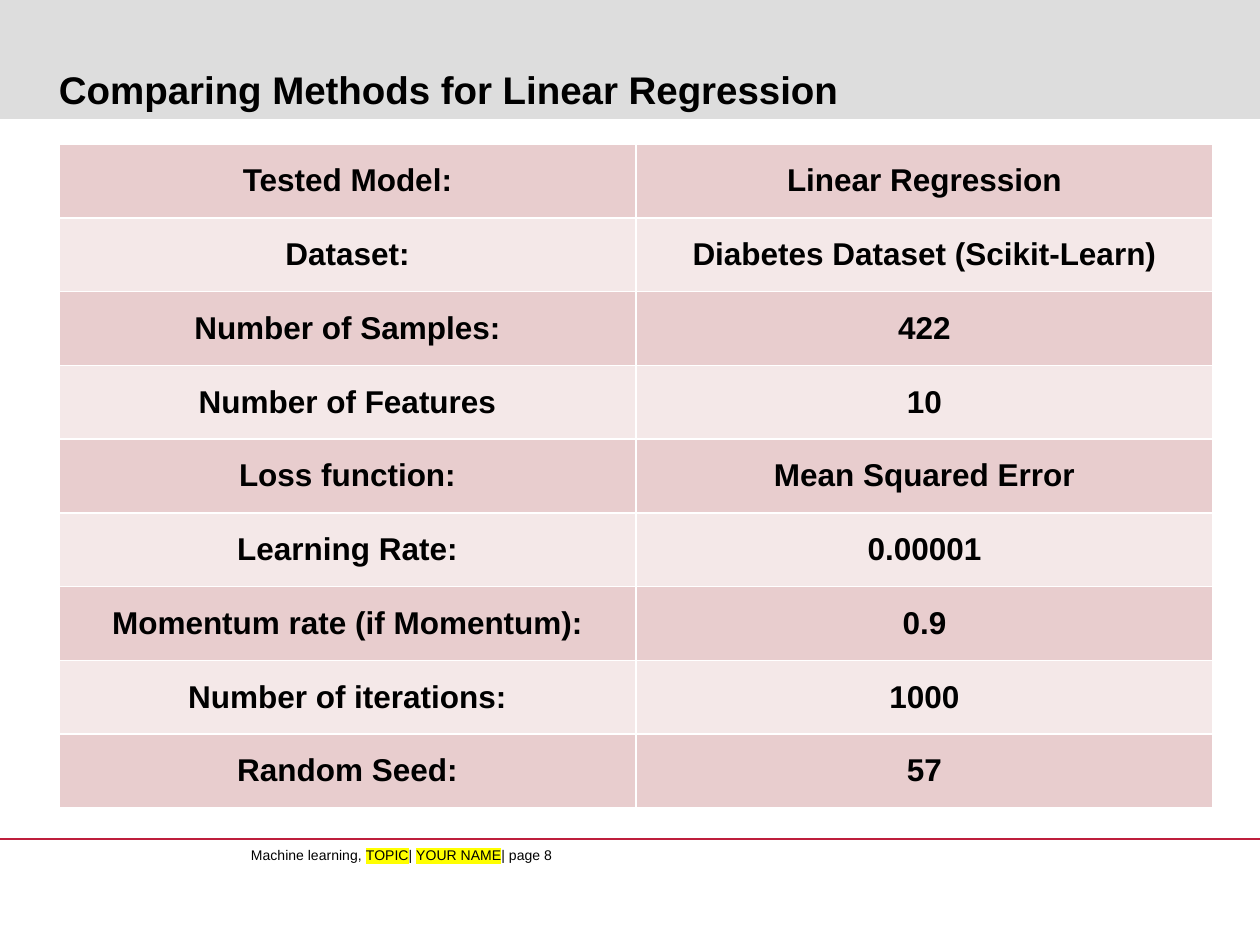
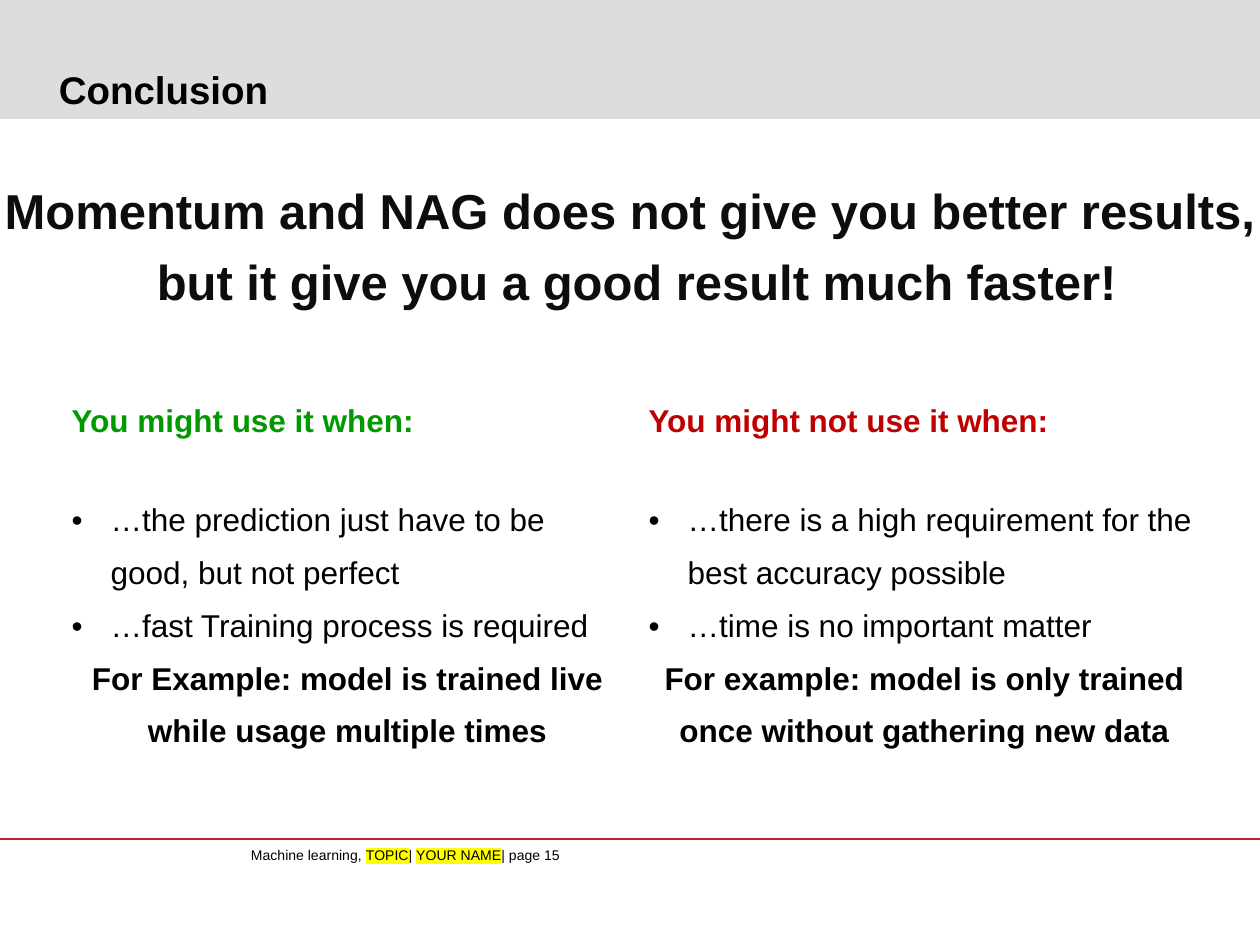
from lxml import etree
from pptx import Presentation
from pptx import util as u
from pptx.dml.color import RGBColor
from pptx.enum import shapes, text
from pptx.oxml import ns

PX = u.Inches(1) // 126
FONT = "Arial"
COLORS = {
    "band": "DDDDDD", "rule": "BE1E3C", "text": "000000", "headline": "0D0D0D",
    "highlight": "FFFF00", "border": "FFFFFF", "row_dark": "E8CDCE",
    "row_light": "F4E8E8", "pro": "009900", "contra": "C00000",
}
LEFT, WIDTH = 59, 1154
CENTER = text.PP_ALIGN.CENTER


def set_text(para, words, size, color="text", bold=False, align=None):
    para.text = words
    para.alignment = align
    para.font.name = FONT
    para.font.size = u.Pt(size)
    para.font.bold = bold
    para.font.color.rgb = RGBColor.from_string(COLORS[color])


def set_cell(cell, fill=None, bottom=1):
    props = cell._tc.get_or_add_tcPr()
    for side, points in (("lnL", 1), ("lnR", 1), ("lnT", 1), ("lnB", bottom)):
        line = etree.SubElement(props, ns.qn(f"a:{side}"), w=str(u.Pt(points)))
        solid = etree.SubElement(line, ns.qn("a:solidFill"))
        etree.SubElement(solid, ns.qn("a:srgbClr"), val=COLORS["border"])
    if fill:
        cell.fill.solid()
        cell.fill.fore_color.rgb = RGBColor.from_string(COLORS[fill])
    else:
        cell.fill.background()


deck = Presentation()
deck.slide_width, deck.slide_height = u.Inches(10), u.Inches(7.5)

pages = []
for title, number in (("Comparing Methods for Linear Regression", 8), ("Conclusion", 15)):
    page = deck.slides.add_slide(deck.slide_layouts[6])
    pages.append(page)

    band = page.shapes.add_shape(shapes.MSO_SHAPE.RECTANGLE, 0, 0, deck.slide_width, 119 * PX)
    band.shadow.inherit = False
    band.fill.solid()
    band.fill.fore_color.rgb = RGBColor.from_string(COLORS["band"])
    band.line.fill.background()

    rule = page.shapes.add_connector(
        shapes.MSO_CONNECTOR.STRAIGHT, 0, 839 * PX, deck.slide_width, 839 * PX)
    rule.line.color.rgb = RGBColor.from_string(COLORS["rule"])
    rule.line.width = u.Pt(0.75)
    etree.SubElement(rule._element.spPr, ns.qn("a:effectLst"))

    footer = page.shapes.add_textbox(251 * PX, 847 * PX, 314 * PX, 34 * PX).text_frame
    footer.margin_left = footer.margin_right = footer.margin_top = footer.margin_bottom = 0
    footer.word_wrap = False
    para = footer.paragraphs[0]
    set_text(para, "", 8)
    for words, marked in (("Machine learning, ", False), ("TOPIC", True), ("| ", False),
                          ("YOUR NAME", True), (f"| page {number}", False)):
        span = para.add_run()
        span.text = words
        if marked:
            highlight = etree.SubElement(span._r.get_or_add_rPr(), ns.qn("a:highlight"))
            etree.SubElement(highlight, ns.qn("a:srgbClr"), val=COLORS["highlight"])

    heading = page.shapes.add_textbox(LEFT * PX, 15 * PX, WIDTH * PX, 97 * PX).text_frame
    heading.margin_left = heading.margin_right = heading.margin_top = heading.margin_bottom = 0
    heading.word_wrap = True
    heading.vertical_anchor = text.MSO_ANCHOR.BOTTOM
    set_text(heading.paragraphs[0], title, 22, bold=True)

methods_page, conclusion_page = pages

settings = [
    ("Tested Model:", "Linear Regression"),
    ("Dataset:", "Diabetes Dataset (Scikit-Learn)"),
    ("Number of Samples:", "422"),
    ("Number of Features", "10"),
    ("Loss function:", "Mean Squared Error"),
    ("Learning Rate:", "0.00001"),
    ("Momentum rate (if Momentum):", "0.9"),
    ("Number of iterations:", "1000"),
    ("Random Seed:", "57"),
]
table = methods_page.shapes.add_table(
    len(settings), 2, LEFT * PX, 144 * PX, WIDTH * PX, 664 * PX).table
table.first_row = table.horz_banding = False
for row, setting in enumerate(settings):
    for column, words in enumerate(setting):
        cell = table.cell(row, column)
        set_cell(cell, "row_light" if row % 2 else "row_dark")
        cell.vertical_anchor = text.MSO_ANCHOR.MIDDLE
        set_text(cell.text_frame.paragraphs[0], words, 18, bold=True, align=CENTER)

message = conclusion_page.shapes.add_textbox(0, 175 * PX, deck.slide_width, 141 * PX).text_frame
message.margin_left = message.margin_right = message.margin_top = message.margin_bottom = 0
message.word_wrap = True
message.vertical_anchor = text.MSO_ANCHOR.MIDDLE
for index, words in enumerate(("Momentum and NAG does not give you better results,",
                               " but it give you a good result much faster!")):
    para = message.add_paragraph() if index else message.paragraphs[0]
    set_text(para, words, 28, "headline", True, CENTER)
    para.space_before = u.Pt(6.5)

advice = [
    ("You might use it when:", "pro",
     ["…the prediction just have to be good, but not perfect",
      "…fast Training process is required"],
     "For Example: model is trained live while usage multiple times"),
    ("You might not use it when:", "contra",
     ["…there is a high requirement for the best accuracy possible",
      "…time is no important matter"],
     "For example: model is only trained once without gathering new data"),
]
table = conclusion_page.shapes.add_table(
    2, 2, LEFT * PX, 398 * PX, WIDTH * PX, 366 * PX).table
table.first_row = table.horz_banding = False
table.rows[0].height, table.rows[1].height = 81 * PX, 285 * PX
for column, (header, color, reasons, example) in enumerate(advice):
    top, body = table.cell(0, column), table.cell(1, column)
    set_cell(top, bottom=3)
    set_cell(body)
    set_text(top.text_frame.paragraphs[0], header, 18, color, True)
    for index, reason in enumerate(reasons):
        para = body.text_frame.add_paragraph() if index else body.text_frame.paragraphs[0]
        props = para._p.get_or_add_pPr()
        props.set("marL", str(39 * PX))
        props.set("indent", str(-39 * PX))
        etree.SubElement(props, ns.qn("a:buFont"), typeface=FONT)
        etree.SubElement(props, ns.qn("a:buChar"), char="•")
        set_text(para, reason, 18)
        para.line_spacing = 1.5
    para = body.text_frame.add_paragraph()
    set_text(para, example, 18, bold=True, align=CENTER)
    para.line_spacing = 1.5

deck.save("out.pptx")
